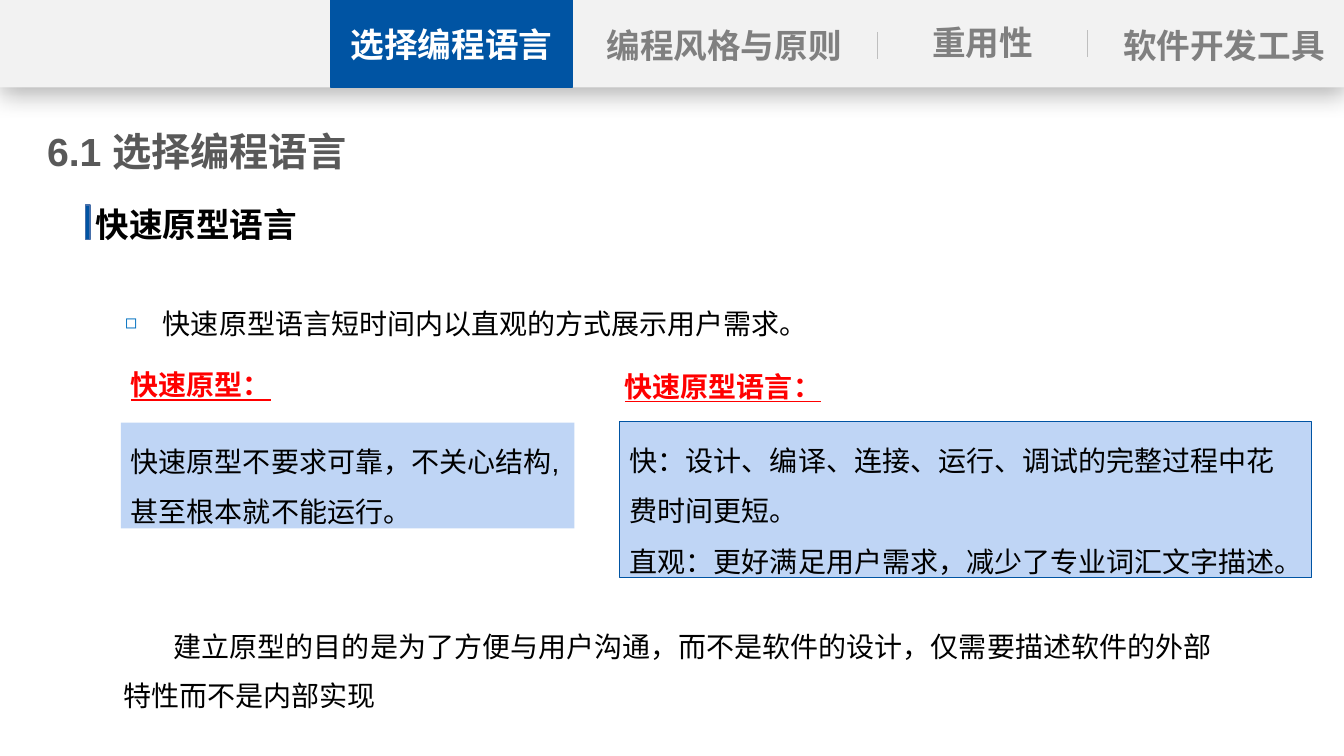
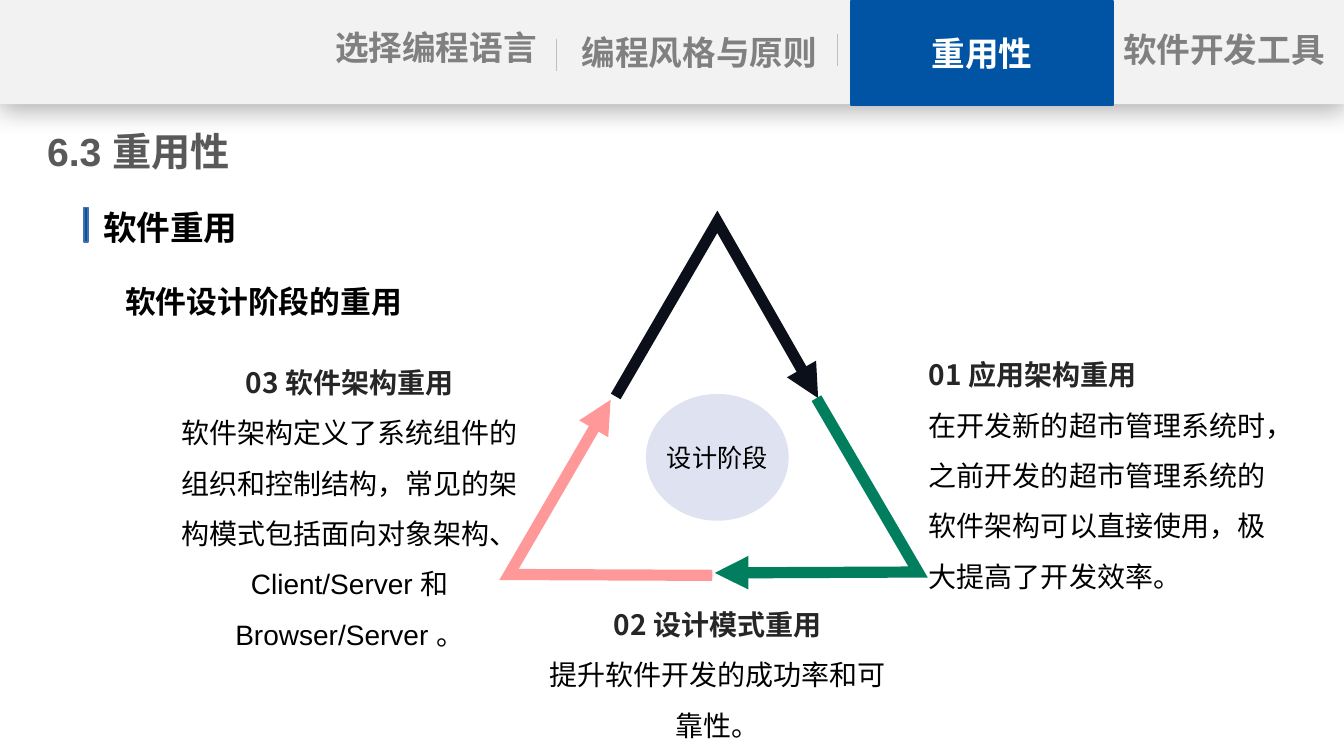
from dataclasses import dataclass, replace
from lxml.etree import SubElement
from pptx import Presentation
from pptx.dml.color import RGBColor
from pptx.enum.shapes import MSO_CONNECTOR, MSO_SHAPE
from pptx.enum.text import MSO_ANCHOR, MSO_AUTO_SIZE, PP_ALIGN
from pptx.oxml.ns import qn
from pptx.util import Emu, Pt

# Grid: 160 columns by 90 rows of square cells
COLS, ROWS, CELL = 160, 90, 76200
BLUE, PALE, GREY, BLACK = "0054A3", "BFD5F5", "808080", "000000"
CJK = "Noto Sans CJK SC"


@dataclass(frozen=True)
class Style:
    size: float = 20
    color: str = BLACK
    bold: bool = False
    under: bool = False
    face: str = "Arial"
    align: PP_ALIGN = PP_ALIGN.LEFT
    lead: object = 1.0
    left: float = 0
    hang: float = 0
    mark: str = ""


BODY = Style(lead=1.5)
LIST = Style(lead=Pt(35), left=3.5)
HEAD = Style(24, bold=True)
TAB = replace(HEAD, color=GREY, align=PP_ALIGN.CENTER)
LIVE = replace(TAB, color="FFFFFF")
TITLE = Style(28, "595959", True)
RED = replace(BODY, color="FF0000", bold=True, under=True)
ITEM = replace(BODY, color="262626", bold=True, face=CJK)


def cell(n):
    return Emu(round(n * CELL))


def rgb(code):
    return RGBColor.from_string(code)


def node(root, tag, **attrs):
    return SubElement(root, qn("a:" + tag), attrs)


class Deck:
    def __init__(self):
        self.prs = Presentation()
        self.prs.slide_width, self.prs.slide_height = cell(COLS), cell(ROWS)

    def start(self, title):
        self.slide = self.prs.slides.add_slide(self.prs.slide_layouts[1])
        self.shapes = self.slide.shapes
        self.place(self.shapes.title, (5.6, 14.5, 40, 7))
        self.fill(self.shapes.title, [(title, TITLE)], pad=0)

    def place(self, shape, at):
        shape.left, shape.top, shape.width, shape.height = map(cell, at)

    # Text
    def fill(self, shape, paras, pad=1.2, anchor=MSO_ANCHOR.TOP):
        frame = shape.text_frame
        frame.word_wrap = True
        frame.auto_size = MSO_AUTO_SIZE.NONE
        frame.vertical_anchor = anchor
        frame.margin_left = frame.margin_right = cell(pad)
        frame.margin_top = frame.margin_bottom = cell(0.6)
        for i, (text, style) in enumerate(paras):
            para = frame.add_paragraph() if i else frame.paragraphs[0]
            para.add_run().text = text
            self.dress(para, style)

    def dress(self, para, style):
        para.alignment, para.line_spacing = style.align, style.lead
        para.space_before = Pt(0)
        props = para._p.get_or_add_pPr()
        props.set("marL", str(cell(style.left)))
        props.set("indent", str(cell(style.hang)))
        if style.mark:
            node(node(props, "buClr"), "srgbClr", val="0070C0")
            node(props, "buSzPct", val="70000")
            node(props, "buChar", char=style.mark)
        else:
            node(props, "buNone")
        font = para.font
        font.size, font.bold, font.name = Pt(style.size), style.bold, style.face
        font.underline = style.under
        font.color.rgb = rgb(style.color)
        node(font._rPr, "ea", typeface=CJK)

    def text(self, at, *paras, pad=1.2):
        self.fill(self.shapes.add_textbox(*map(cell, at)), paras, pad)

    def body(self, at, text, style):
        hold = self.slide.placeholders[1]
        self.place(hold, at)
        self.fill(hold, [(text, style)])

    # Filled shapes
    def box(self, at, fill, *paras, line=None, width=1.0,
            kind=MSO_SHAPE.RECTANGLE, anchor=MSO_ANCHOR.TOP, pad=1.2):
        shape = self.shapes.add_shape(kind, *map(cell, at))
        shape.shadow.inherit = False
        shape.fill.solid()
        shape.fill.fore_color.rgb = rgb(fill)
        if line:
            shape.line.color.rgb = rgb(line)
            shape.line.width = Pt(width)
        else:
            shape.line.fill.background()
        if paras:
            self.fill(shape, paras, pad, anchor)
        return shape

    def head(self, x, y, text, gap=0):
        self.box((x, y, 0.5, 4.1), BLUE, line="476FAA")
        self.text((x + gap, y - 0.7, 66, 6), (text, HEAD))

    # Top band: plain tabs, dividers and the live tab
    def band(self, high, live, at, tabs, rules, tall):
        bar = self.box((0, 0, COLS, high), "F2F2F2")
        glow = node(bar._element.spPr.find(qn("a:effectLst")), "outerShdw",
                    blurRad=str(Pt(18)), dist=str(Pt(4)), dir="5400000",
                    algn="t", rotWithShape="0")
        node(node(glow, "srgbClr", val=BLACK), "alpha", val="29000")
        for x, y in rules:
            self.rule(x, y, tall)
        for text, x, y, wide in tabs:
            self.text((x, y, wide, 6.1), (text, TAB), pad=0)
        self.box(at, BLUE, (live, LIVE), line=BLUE, anchor=MSO_ANCHOR.MIDDLE)

    def rule(self, x, y, tall):
        line = self.shapes.add_connector(
            MSO_CONNECTOR.STRAIGHT, *map(cell, (x, y, x, y + tall)))
        line.line.color.rgb = rgb("BFBFBF")
        line.line.width = Pt(0.5)
        node(line._element.spPr, "effectLst")

    # Bent arrow through the given points
    def arrow(self, color, end, first, *rest):
        pen = self.shapes.build_freeform(*map(cell, first))
        pen.add_line_segments([tuple(map(cell, p)) for p in rest], close=False)
        shape = pen.convert_to_shape()
        shape.shadow.inherit = False
        shape.fill.background()
        shape.line.color.rgb = rgb(color)
        shape.line.width = Pt(8)
        edge = shape.line._get_or_add_ln()
        node(edge, "miter", lim="800000")
        node(edge, end, type="triangle")


def language(deck):
    deck.start("6.1 选择编程语言")
    deck.head(10.2, 24.4, "快速原型语言")
    deck.band(10.4, "选择编程语言", (39.4, 0, 28.7, 10.4),
              [("编程风格与原则", 71.9, 2.4, 28.6),
               ("重用性", 108.5, 2.04, 17),
               ("软件开发工具", 133.2, 2.4, 25)],
              [(68.1, 3.8), (104.4, 3.8), (129.4, 3.6)], 3.2)
    deck.body((10.2, 34, 131, 6.5),
              "快速原型语言短时间内以直观的方式展示用户需求。",
              replace(LIST, left=8, hang=-4.5, mark="◻"))

    # Two compared notions
    deck.text((14.4, 41.2, 55, 6.6), ("快速原型：", RED))
    deck.text((73.2, 41.4, 83, 6.6), ("快速原型语言：", RED))
    deck.box((14.4, 50.3, 54, 12.6), PALE,
             ("快速原型不要求可靠，不关心结构,甚至根本就不能运行。", BODY))
    deck.box((73.8, 50.2, 82.3, 18.6), PALE,
             ("快：设计、编译、连接、运行、调试的完整过程中花费时间更短。", BODY),
             ("直观：更好满足用户需求，减少了专业词汇文字描述。", BODY),
             line=BLUE, width=0.75)

    # Closing remark
    deck.text((10, 72.5, 135.7, 12.4),
              ("建立原型的目的是为了方便与用户沟通，而不是软件的设计，"
               "仅需要描述软件的外部特性而不是内部实现", replace(LIST, hang=6)))


def reuse(deck):
    deck.start("6.3 重用性")
    deck.head(10, 24.7, "软件重用", gap=1.1)
    deck.band(12.4, "重用性", (101.3, 0.1, 31.2, 12.4),
              [("选择编程语言", 37.6, 2.64, 28.6),
               ("编程风格与原则", 66.7, 3.24, 33.1),
               ("软件开发工具", 133.2, 2.9, 25)],
              [(66.2, 4.6), (99.7, 4.1)], 3.8)
    deck.body((10.2, 31.6, 44.3, 6.5), "软件设计阶段的重用",
              replace(LIST, size=22, bold=True))

    # Triangle of arrows around the stage
    deck.arrow("0B0F1A", "tailEnd", (73.3, 47.2), (85.4, 26.4), (97.4, 47.4))
    deck.arrow("007E5D", "tailEnd", (97.2, 47.4), (109.3, 68.1), (85.1, 68.2))
    deck.arrow("FF9999", "headEnd", (72.7, 47.6), (60.6, 68.4), (84.8, 68.5))
    deck.box((76.9, 46.9, 17, 15.1), "DFE3F1",
             ("设计阶段", Style(18, face=CJK, align=PP_ALIGN.CENTER)),
             kind=MSO_SHAPE.OVAL, anchor=MSO_ANCHOR.MIDDLE, pad=0)

    # Three kinds of reuse
    mid = PP_ALIGN.CENTER
    for x, y, tall, align, name, text in (
            (109.4, 40, 30.7, PP_ALIGN.LEFT, "01 应用架构重用",
             "在开发新的超市管理系统时，之前开发的超市管理系统的软件架构可以直接使用，极大提高了开发效率。"),
            (62.9, 69.7, 18.6, mid, "02 设计模式重用",
             "提升软件开发的成功率和可靠性。"),
            (19.1, 40.9, 36.8, mid, "03 软件架构重用",
             "软件架构定义了系统组件的组织和控制结构，常见的架构模式包括面向对象架构、"
             "Client/Server 和 Browser/Server 。")):
        deck.text((x, y, 45.1, tall), (name, replace(ITEM, align=align)),
                  (text, replace(BODY, align=align)))


def main():
    deck = Deck()
    language(deck)
    reuse(deck)
    deck.prs.save("out.pptx")


if __name__ == "__main__":
    main()
